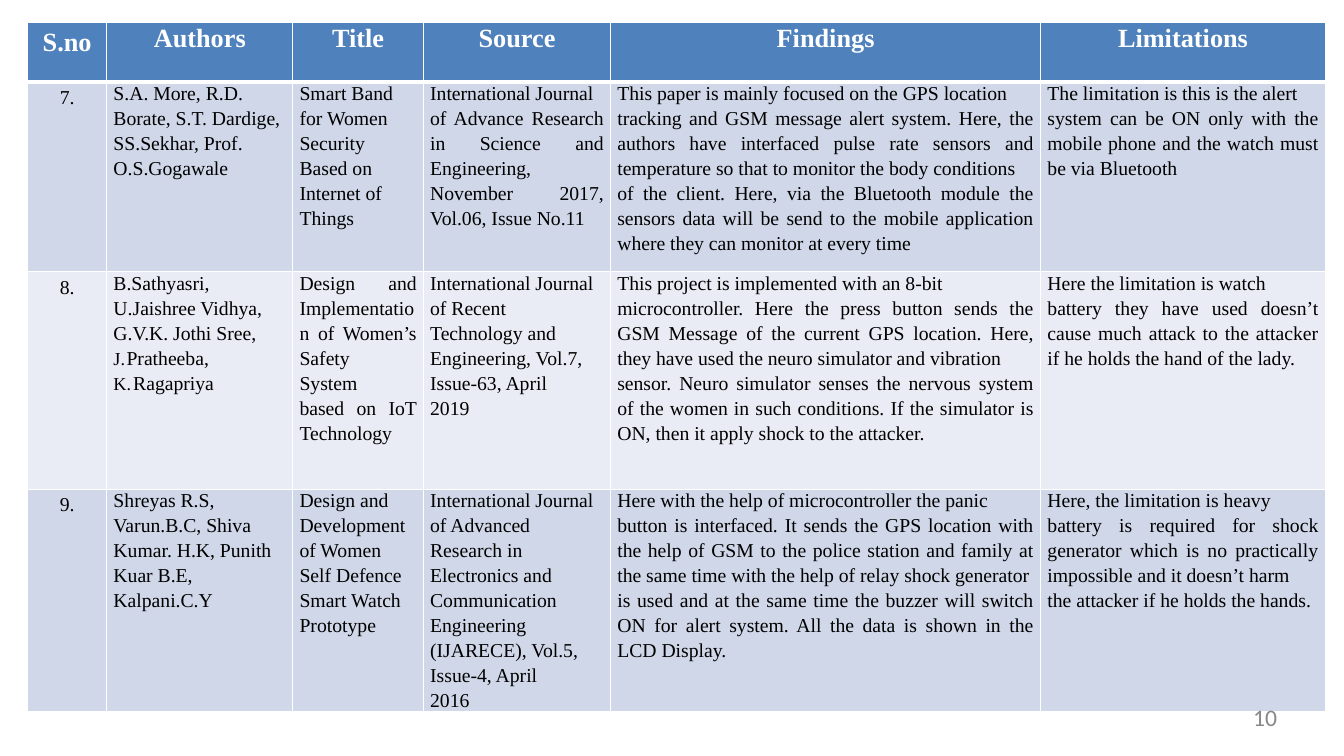
from lxml import etree
from pptx import Presentation
from pptx.dml.color import RGBColor
from pptx.enum.text import PP_ALIGN
from pptx.oxml.ns import qn
from pptx.util import Cm, Pt

LEFT, CENTER, JUSTIFY = PP_ALIGN.LEFT, PP_ALIGN.CENTER, PP_ALIGN.JUSTIFY
SERIF = "Times New Roman"
WHITE, BLACK, GRAY = "FFFFFF", "000000", "888888"
HEADER_BLUE, DARK_BAND, LIGHT_BAND = "4F81BC", "D0D7E8", "E9ECF4"
COLUMN_WIDTHS = [2.13, 5.0, 3.51, 5.03, 11.56, 7.65]
ROW_HEIGHTS = [1.6, 5.1, 5.84, 5.97]
SIDE_MARGIN = 0.18
LETTER_INDENTS = {"Pratheeba,": 0.35, "Ragapriya": 0.53}
HEADINGS = ["S.no", "Authors", "Title", "Source", "Findings", "Limitations"]

PAPERS = [
    [
        ["7."],
        ["S.A. More, R.D.", "Borate, S.T. Dardige,\vSS.Sekhar, Prof.", "O.S.Gogawale"],
        ["Smart Band", "for Women\vSecurity\vBased on", "Internet of\vThings"],
        ["International Journal",
         "of Advance Research in Science and Engineering,",
         "November 2017,\vVol.06, Issue No.11"],
        ["This paper is mainly focused on the GPS location",
         "tracking and GSM message alert system. Here, the authors have interfaced "
         "pulse rate sensors and temperature so that to monitor the body conditions",
         "of the client. Here, via the Bluetooth module the sensors data will be send "
         "to the mobile application where they can monitor at every time"],
        ["The limitation is this is the alert",
         "system can be ON only with the mobile phone and the watch must be via Bluetooth"],
    ],
    [
        ["8."],
        ["B.Sathyasri,", "U.Jaishree Vidhya,", "G.V.K. Jothi Sree,", "Pratheeba,", "Ragapriya"],
        ["Design\tand", "Implementatio n of Women’s Safety\vSystem", "based on IoT Technology"],
        ["International Journal",
         "of Recent\vTechnology and Engineering, Vol.7,",
         "Issue-63, April\v2019"],
        ["This project is implemented with an 8-bit",
         "microcontroller. Here the press button sends the GSM Message of the current "
         "GPS location. Here, they have used the neuro simulator and vibration",
         "sensor. Neuro simulator senses the nervous system of the women in such "
         "conditions. If the simulator is ON, then it apply shock to the attacker."],
        ["Here the limitation is watch",
         "battery they have used doesn’t cause much attack to the attacker if he holds "
         "the hand of the lady."],
    ],
    [
        ["9."],
        ["Shreyas R.S,", "Varun.B.C, Shiva\vKumar. H.K, Punith\vKuar B.E,", "Kalpani.C.Y"],
        ["Design and", "Development\vof Women\vSelf Defence", "Smart Watch\vPrototype"],
        ["International Journal",
         "of Advanced\vResearch in\vElectronics and",
         "Communication\vEngineering\v(IJARECE), Vol.5,",
         "Issue-4, April\v2016"],
        ["Here with the help of microcontroller the panic",
         "button is interfaced. It sends the GPS location with the help of GSM to the "
         "police station and family at the same time with the help of relay shock generator",
         "is used and at the same time the buzzer will switch ON for alert system. All "
         "the data is shown in the LCD Display."],
        ["Here, the limitation is heavy",
         "battery is required for shock generator which is no practically impossible and "
         "it doesn’t harm",
         "the attacker if he holds the hands."],
    ],
]


def color(value):
    return RGBColor.from_string(value)


def set_font(para, name, size, value, bold=False):
    para.font.name = name
    para.font.size = Pt(size)
    para.font.bold = bold
    para.font.color.rgb = color(value)


def set_borders(cell, top, bottom):
    properties = cell._tc.get_or_add_tcPr()
    for side, width in (("L", 1), ("R", 1), ("T", top), ("B", bottom)):
        line = etree.SubElement(properties, qn(f"a:ln{side}"), w=str(Pt(width)))
        fill = etree.SubElement(line, qn("a:solidFill"))
        etree.SubElement(fill, qn("a:srgbClr"), val=WHITE)


def add_letter(para, indent):
    properties = para._p.get_or_add_pPr()
    properties.set("marL", str(Cm(indent)))
    properties.set("indent", str(-Cm(indent)))
    etree.SubElement(properties, qn("a:buSzPct"), val="93000")
    etree.SubElement(properties, qn("a:buFont"), typeface=SERIF)
    etree.SubElement(properties, qn("a:buAutoNum"), type="alphaUcPeriod", startAt="10")
    add_tab(para, indent, "l")


def add_tab(para, position, alignment):
    tabs = etree.SubElement(para._p.get_or_add_pPr(), qn("a:tabLst"))
    etree.SubElement(tabs, qn("a:tab"), pos=str(Cm(position)), algn=alignment)


def fill_cell(cell, texts, column, row):
    is_header = row == 0
    side = 0 if is_header or column == 0 else SIDE_MARGIN
    cell.margin_left = cell.margin_right = Cm(side)
    cell.margin_top = Cm(0.13 if column == 0 else 0.03)
    cell.margin_bottom = 0
    set_borders(cell, 3 if row == 1 else 1, 3 if is_header else 1)
    cell.fill.solid()
    band = DARK_BAND if row % 2 else LIGHT_BAND
    cell.fill.fore_color.rgb = color(HEADER_BLUE if is_header else band)

    justified = column >= 4 or (column, row) in ((3, 1), (2, 2))
    frame = cell.text_frame
    for index, text in enumerate(texts):
        para = frame.add_paragraph() if index else frame.paragraphs[0]
        para.text = text
        if is_header or column == 0:
            para.alignment = CENTER
        else:
            para.alignment = JUSTIFY if justified else LEFT
        if index:
            para.line_spacing = 1.15
        if text in LETTER_INDENTS:
            add_letter(para, LETTER_INDENTS[text])
        elif "\t" in text:
            add_tab(para, COLUMN_WIDTHS[column] - 2 * SIDE_MARGIN, "r")
        if is_header:
            set_font(para, SERIF, 20, WHITE, True)
        else:
            set_font(para, SERIF, 15, BLACK)


def add_papers_table(page, left, top):
    rows = [[[heading] for heading in HEADINGS]] + PAPERS
    table = page.shapes.add_table(
        len(rows), len(HEADINGS), Cm(left), Cm(top),
        Cm(sum(COLUMN_WIDTHS)), Cm(sum(ROW_HEIGHTS))).table
    for column, width in zip(table.columns, COLUMN_WIDTHS):
        column.width = Cm(width)
    for row, height in zip(table.rows, ROW_HEIGHTS):
        row.height = Cm(height)
    for row, entries in enumerate(rows):
        for column, texts in enumerate(entries):
            fill_cell(table.cell(row, column), texts, column, row)


def add_page_number(page, left, top, width, height):
    box = page.shapes.add_textbox(Cm(left), Cm(top), Cm(width), Cm(height))
    frame = box.text_frame
    frame.word_wrap = True
    frame.margin_left = Cm(0.03)
    frame.margin_right = frame.margin_bottom = 0
    frame.margin_top = Cm(0.06)
    para = frame.paragraphs[0]
    para.text = "10"
    set_font(para, "Calibri", 18, GRAY)


def main():
    deck = Presentation()
    deck.slide_width, deck.slide_height = Cm(36.12), Cm(20.32)
    page = deck.slides.add_slide(deck.slide_layouts[6])
    add_papers_table(page, 0.74, 0.61)
    add_page_number(page, 33.65, 18.82, 0.71, 0.84)
    deck.save("out.pptx")


if __name__ == "__main__":
    main()
